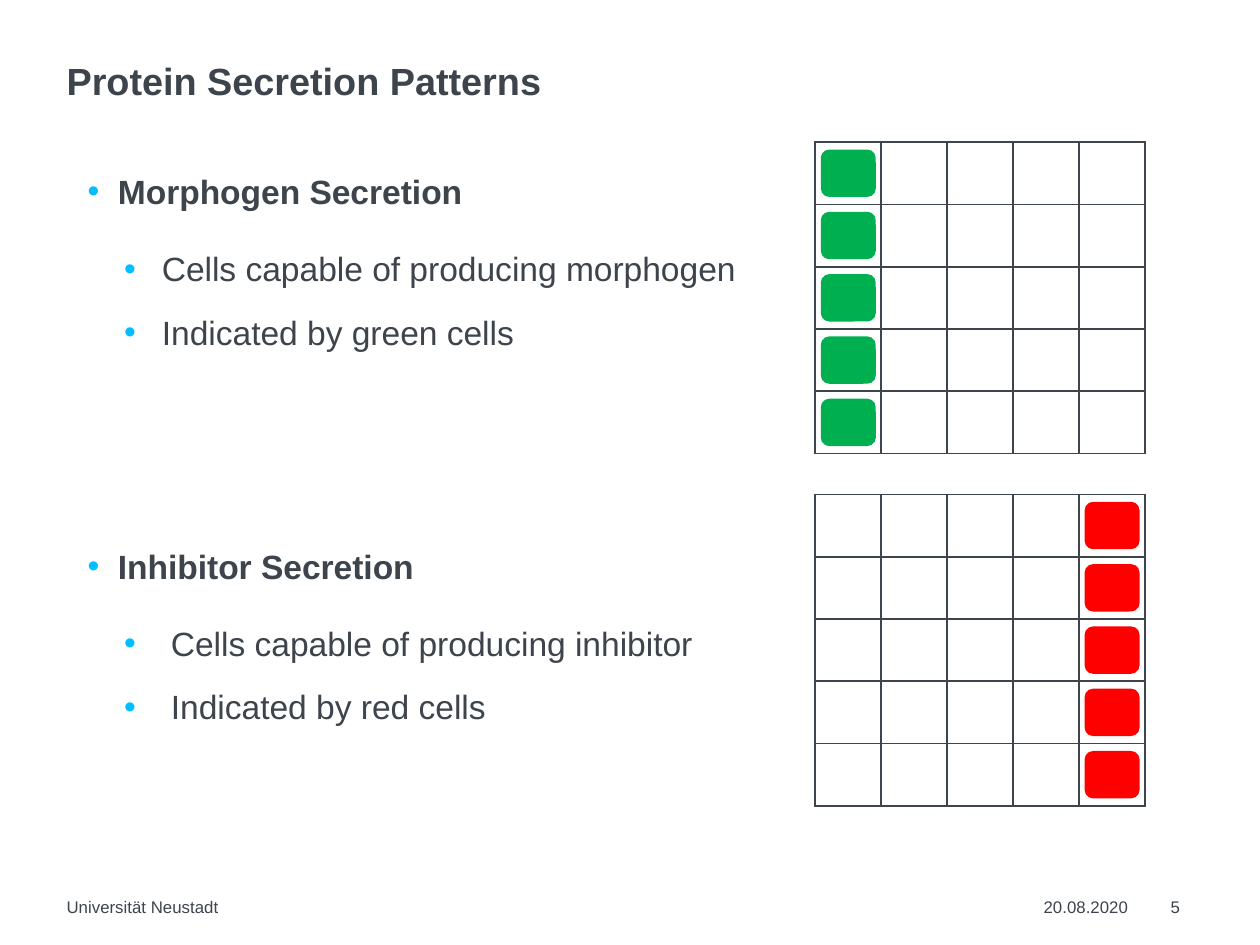
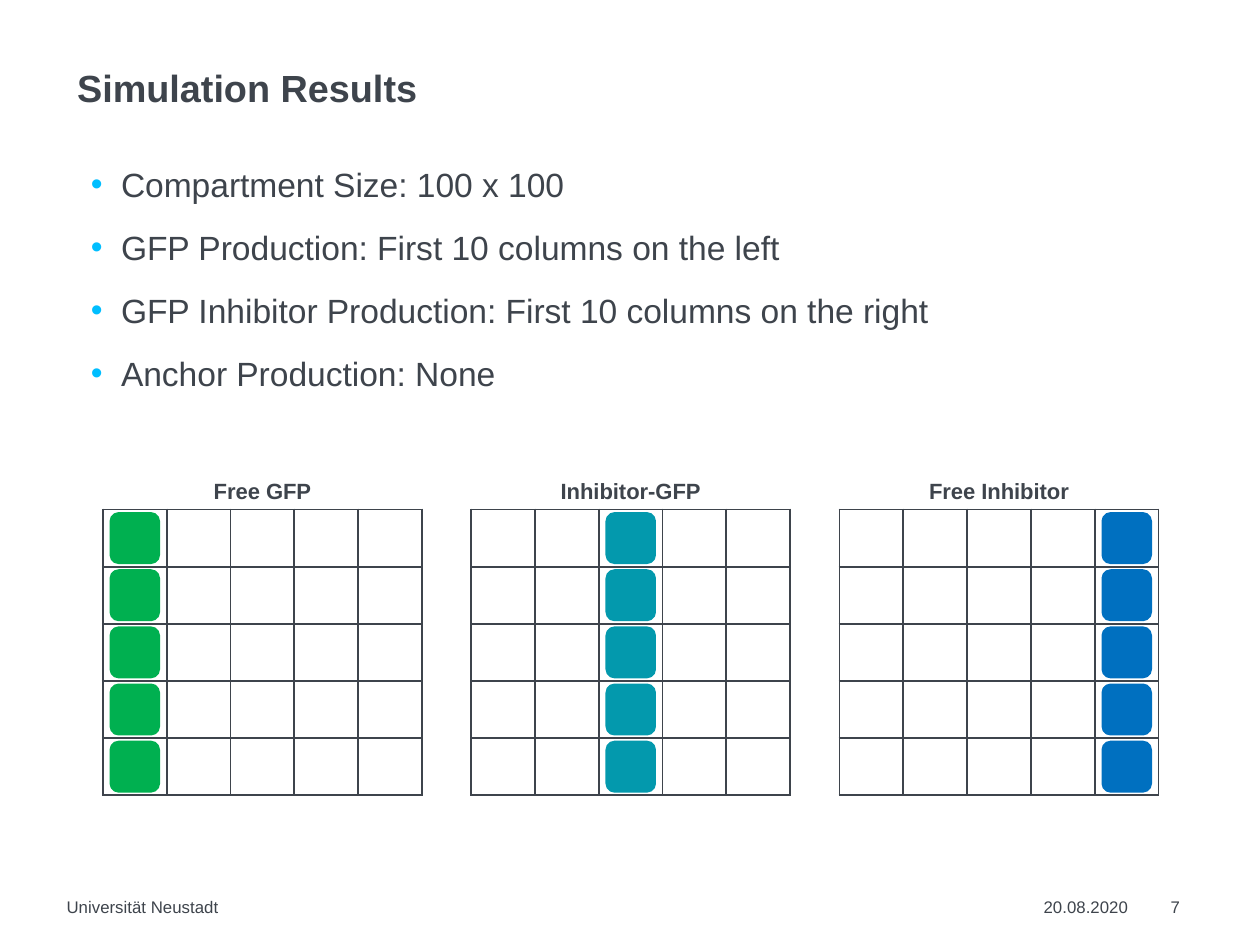
"""Two slides on protein secretion patterns and simulation results."""
from lxml.etree import SubElement
from pptx import Presentation
from pptx.dml.color import RGBColor
from pptx.enum.shapes import MSO_SHAPE
from pptx.enum.text import MSO_ANCHOR, MSO_AUTO_SIZE, PP_ALIGN
from pptx.oxml.ns import qn
from pptx.util import Inches, Pt

FONT = "Arial"
INK, ACCENT, PAPER = "3E444C", "00BEFF", "FFFFFF"
GREEN, RED, TEAL, BLUE = "00B050", "FF0000", "0399AD", "0070C0"
GRID_SIZE = 5
TITLE_SIZE = (7.48, 0.3)

FOOTERS = [("Universität Neustadt", 0.44, 5.51), ("20.08.2020", 6.9, 0.66)]
NUMBER_LEFT, NUMBER_WIDTH = 7.74, 0.24
FOOTER_TOP, FOOTER_HEIGHT = 5.93, 0.13

# style: level, bold, text indent, hanging indent, space before
STYLES = {
    "first heading": (0, True, 0.2, 0.2, 0),
    "heading": (0, True, 0.2, 0.2, 88.8),
    "first detail": (1, False, 0.49, 0.25, 13.7),
    "detail": (1, False, 0.49, 0.25, 7),
    "first wide detail": (1, False, 0.55, 0.31, 13.7),
    "wide detail": (1, False, 0.55, 0.31, 7),
    "first point": (0, False, 0.2, 0.2, 0),
    "point": (0, False, 0.2, 0.2, 7),
}

PATTERN_GRID = dict(size=(2.18, 2.06), cell=(0.35, 0.3), outline=MSO_SHAPE.ROUNDED_RECTANGLE)
RESULT_GRID = dict(size=(2.11, 1.89), cell=(0.32, 0.33),
                   outline=MSO_SHAPE.FLOWCHART_ALTERNATE_PROCESS)
RESULT_LEFT, RESULT_STEP, RESULT_TOP = 0.68, 2.435, 3.37
LABEL_TOP, LABEL_HEIGHT = 3.12, 0.19

RESULTS = [("Free GFP", 0, GREEN), ("Inhibitor-GFP", 2, TEAL), ("Free Inhibitor", 4, BLUE)]

PATTERNS_SLIDE = dict(
    title="Protein Secretion Patterns", title_at=(0.44, 0.4), number="5",
    body_at=(0.58, 1.08, 4.72, 3.7),
    points=[
        ("first heading", "Morphogen Secretion"),
        ("first detail", "Cells capable of producing morphogen"),
        ("detail", "Indicated by green cells"),
        ("heading", "Inhibitor Secretion"),
        ("first wide detail", "Cells capable of producing inhibitor"),
        ("wide detail", "Indicated by red cells"),
    ],
    grids=[
        dict(PATTERN_GRID, at=(5.39, 0.94), column=0, color=GREEN),
        dict(PATTERN_GRID, at=(5.39, 3.27), column=4, color=RED),
    ],
)
RESULTS_SLIDE = dict(
    title="Simulation Results", title_at=(0.51, 0.45), number="7",
    body_at=(0.6, 1.03, 6.5, 1.6),
    points=[
        ("first point", "Compartment Size: 100 x 100"),
        ("point", "GFP Production: First 10 columns on the left"),
        ("point", "GFP Inhibitor Production: First 10 columns on the right"),
        ("point", "Anchor Production: None"),
    ],
    grids=[
        dict(RESULT_GRID, at=(RESULT_LEFT + i * RESULT_STEP, RESULT_TOP),
             column=column, color=color, label=label)
        for i, (label, column, color) in enumerate(RESULTS)
    ],
)


def rgb(color):
    """Turn a hex string into a colour."""
    return RGBColor.from_string(color)


def inches(*lengths):
    """Turn numbers into lengths."""
    return [Inches(length) for length in lengths]


def place(shape, *box):
    """Move and size a placeholder."""
    shape.left, shape.top, shape.width, shape.height = inches(*box)


def prepare(frame, anchor=MSO_ANCHOR.TOP):
    """Give a text frame no margins and a fixed size."""
    frame.margin_left = frame.margin_right = frame.margin_top = frame.margin_bottom = 0
    frame.word_wrap = True
    frame.auto_size = MSO_AUTO_SIZE.NONE
    frame.vertical_anchor = anchor
    return frame


def write(paragraph, text, size, bold=False, spacing=1.0, align=PP_ALIGN.LEFT):
    """Add one formatted run to a paragraph."""
    paragraph.alignment, paragraph.line_spacing = align, spacing
    run = paragraph.add_run()
    run.text = text
    run.font.name, run.font.size, run.font.bold = FONT, Pt(size), bold
    run.font.color.rgb = rgb(INK)


def add_text(slide, box, text, size, **style):
    """Add a one-line text box."""
    frame = prepare(slide.shapes.add_textbox(*inches(*box)).text_frame)
    write(frame.paragraphs[0], text, size, **style)


def add_bullet(paragraph, indent, hanging):
    """Set the indents and the coloured bullet of a paragraph."""
    properties = paragraph._p.get_or_add_pPr()
    properties.set("marL", str(Inches(indent)))
    properties.set("indent", str(-Inches(hanging)))
    bullet_color = SubElement(properties, qn("a:buClr"))
    SubElement(bullet_color, qn("a:srgbClr"), val=ACCENT)
    SubElement(properties, qn("a:buFont"), typeface=FONT)
    SubElement(properties, qn("a:buChar"), char="•")


def fill_body(body, points):
    """Write the bulleted points into the body placeholder."""
    frame = prepare(body.text_frame)
    for i, (style, text) in enumerate(points):
        level, bold, indent, hanging, before = STYLES[style]
        paragraph = frame.add_paragraph() if i else frame.paragraphs[0]
        paragraph.level = level
        write(paragraph, text, 16, bold, 1.2)
        paragraph.space_before, paragraph.space_after = Pt(before), Pt(0)
        add_bullet(paragraph, indent, hanging)


def format_cell(cell):
    """Give a grid cell a plain fill and thin borders."""
    cell.margin_left = cell.margin_right = cell.margin_top = cell.margin_bottom = 0
    properties = cell._tc.get_or_add_tcPr()
    for side in ("lnL", "lnR", "lnT", "lnB"):
        border = SubElement(properties, qn(f"a:{side}"), w=str(Pt(1)))
        border_fill = SubElement(border, qn("a:solidFill"))
        SubElement(border_fill, qn("a:srgbClr"), val=INK)
    cell.fill.solid()
    cell.fill.fore_color.rgb = rgb(PAPER)


def add_grid(slide, at, size, cell, outline, column, color, label=None):
    """Draw a grid with one column of coloured cells and an optional label."""
    (left, top), (width, height) = at, size
    table = slide.shapes.add_table(GRID_SIZE, GRID_SIZE, *inches(*at, *size)).table
    table.first_row = table.horz_banding = False
    pitch_x, pitch_y = width / GRID_SIZE, height / GRID_SIZE
    for grid_column in table.columns:
        grid_column.width = Inches(pitch_x)
    for grid_row in table.rows:
        grid_row.height = Inches(pitch_y)
    for grid_cell in table.iter_cells():
        format_cell(grid_cell)
    for row in range(GRID_SIZE):
        x = left + (column + 0.5) * pitch_x - cell[0] / 2
        y = top + (row + 0.5) * pitch_y - cell[1] / 2
        secreting = slide.shapes.add_shape(outline, *inches(x, y, *cell))
        secreting.shadow.inherit = False
        secreting.fill.solid()
        secreting.fill.fore_color.rgb = secreting.line.color.rgb = rgb(color)
        secreting.line.width = Pt(1)
    if label:
        add_text(slide, (left, LABEL_TOP, width, LABEL_HEIGHT), label, 10.5,
                 bold=True, spacing=1.2, align=PP_ALIGN.CENTER)


def add_slide(deck, content):
    """Build one slide from its content."""
    slide = deck.slides.add_slide(deck.slide_layouts[1])
    title, body = slide.shapes.title, slide.placeholders[1]
    place(title, *content["title_at"], *TITLE_SIZE)
    heading = prepare(title.text_frame, MSO_ANCHOR.MIDDLE).paragraphs[0]
    write(heading, content["title"], 18, True, 0.9)
    place(body, *content["body_at"])
    fill_body(body, content["points"])
    for text, left, width in FOOTERS + [(content["number"], NUMBER_LEFT, NUMBER_WIDTH)]:
        add_text(slide, (left, FOOTER_TOP, width, FOOTER_HEIGHT), text, 8)
    for grid in content["grids"]:
        add_grid(slide, **grid)


def main():
    """Build and save the deck."""
    deck = Presentation()
    deck.slide_width, deck.slide_height = inches(8.33, 6.25)
    for content in (PATTERNS_SLIDE, RESULTS_SLIDE):
        add_slide(deck, content)
    deck.save("out.pptx")


if __name__ == "__main__":
    main()
